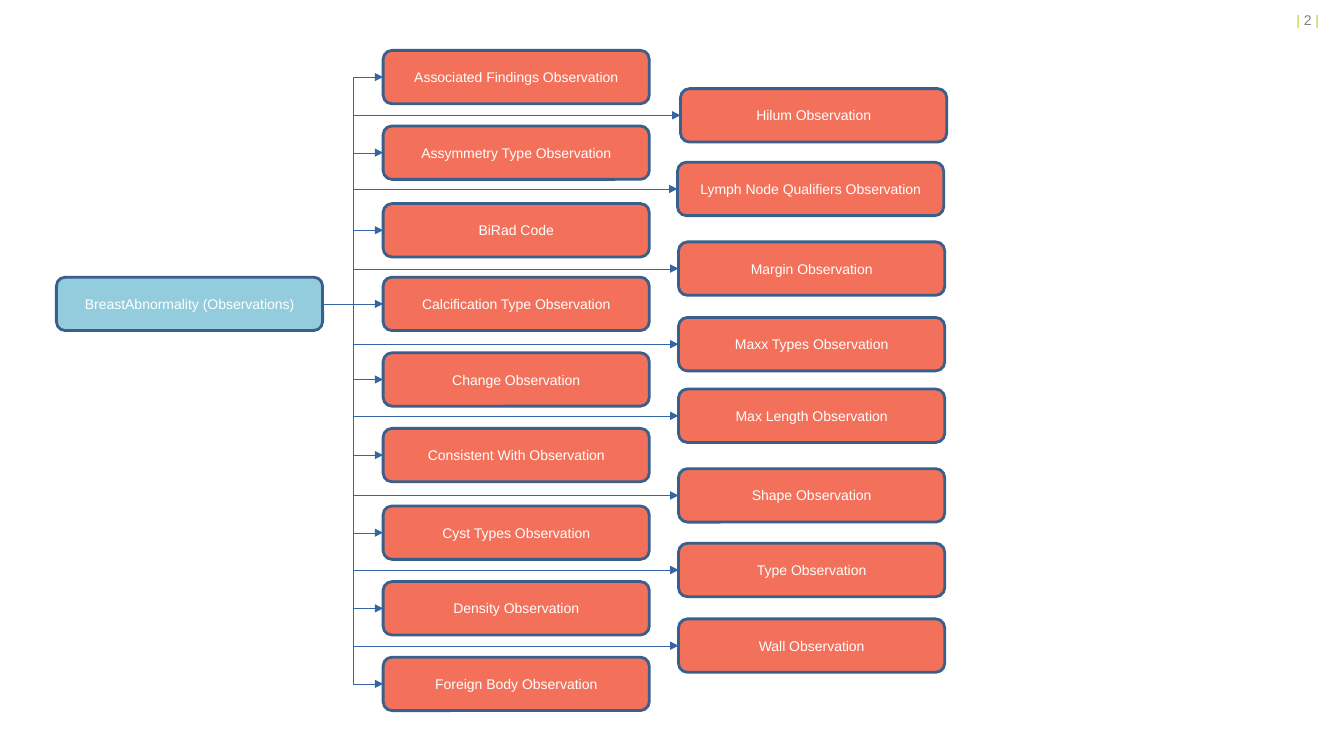
from dataclasses import dataclass

from pptx import Presentation
from pptx.dml.color import RGBColor
from pptx.enum.shapes import MSO_CONNECTOR, MSO_SHAPE
from pptx.enum.text import MSO_ANCHOR, PP_ALIGN
from pptx.oxml.ns import qn
from pptx.util import Inches, Pt
from lxml.etree import SubElement


@dataclass(frozen=True)
class Theme:
    """Colours, font and sizes used across the slide."""
    root: str = "93CDDD"
    observation: str = "F3715A"
    outline: str = "3A5F8B"
    connector: str = "3465A4"
    accent: str = "C1CD23"
    muted: str = "808080"
    white: str = "FFFFFF"
    font: str = "Arial"
    text_size: int = 10
    outline_width: int = 2


THEME = Theme()
BOX_WIDTH, BOX_HEIGHT = 2.64, 0.53
TRUNK_X = 3.5
ROOT = (0.56, 2.75, "BreastAbnormality (Observations)")
FIRST_COLUMN = [
    (3.8, 0.5, "Associated Findings Observation"),
    (3.8, 1.25, "Assymmetry Type Observation"),
    (3.8, 2.02, "BiRad Code"),
    (3.8, 2.75, "Calcification Type Observation"),
    (3.8, 3.5, "Change Observation"),
    (3.8, 4.25, "Consistent With Observation"),
    (3.8, 5.02, "Cyst Types Observation"),
    (3.8, 5.77, "Density Observation"),
    (3.8, 6.52, "Foreign Body Observation"),
]
SECOND_COLUMN = [
    (6.75, 0.88, "Hilum Observation"),
    (6.72, 1.61, "Lymph Node Qualifiers Observation"),
    (6.73, 2.4, "Margin Observation"),
    (6.73, 3.15, "Maxx Types Observation"),
    (6.73, 3.86, "Max Length Observation"),
    (6.73, 4.65, "Shape Observation"),
    (6.73, 5.39, "Type Observation"),
    (6.73, 6.14, "Wall Observation"),
]


def add_span(para, text, color=THEME.white, size=THEME.text_size):
    """Add one formatted run of text to a paragraph."""
    span = para.add_run()
    span.text = text
    span.font.name = THEME.font
    span.font.size = Pt(size)
    span.font.color.rgb = RGBColor.from_string(color)


def add_node(page, left, top, text, fill):
    """Add a labelled rounded box with its corner at left, top."""
    box = page.shapes.add_shape(
        MSO_SHAPE.ROUNDED_RECTANGLE,
        Inches(left), Inches(top), Inches(BOX_WIDTH), Inches(BOX_HEIGHT))
    box.shadow.inherit = False
    box.fill.solid()
    box.fill.fore_color.rgb = RGBColor.from_string(fill)
    box.line.color.rgb = RGBColor.from_string(THEME.outline)
    box.line.width = Pt(THEME.outline_width)
    frame = box.text_frame
    frame.word_wrap = True
    frame.vertical_anchor = MSO_ANCHOR.MIDDLE
    para = frame.paragraphs[0]
    para.alignment = PP_ALIGN.CENTER
    add_span(para, text)
    return box


def add_branch(page, root, box):
    """Join the root to a box with an elbow arrow that bends at the trunk."""
    start = root.left + root.width
    branch = page.shapes.add_connector(
        MSO_CONNECTOR.ELBOW,
        start, root.top + root.height // 2,
        box.left, box.top + box.height // 2)
    branch.begin_connect(root, 3)
    branch.end_connect(box, 1)
    branch.line.color.rgb = RGBColor.from_string(THEME.connector)
    properties = branch._element.spPr
    bend = round((Inches(TRUNK_X) - start) / (box.left - start) * 100000)
    guides = properties.find(qn("a:prstGeom")).find(qn("a:avLst"))
    SubElement(guides, qn("a:gd"), name="adj1", fmla=f"val {bend}")
    line = properties.find(qn("a:ln"))
    line.set("w", "0")
    SubElement(line, qn("a:tailEnd"), type="triangle")
    SubElement(properties, qn("a:effectLst"))


def add_page_number(page, left, top, width, height):
    """Add the page number between two accent bars."""
    box = page.shapes.add_textbox(
        Inches(left), Inches(top), Inches(width), Inches(height))
    box.text_frame.word_wrap = True
    para = box.text_frame.paragraphs[0]
    para.alignment = PP_ALIGN.RIGHT
    para.space_after = Pt(6)
    add_span(para, "| ", color=THEME.accent)
    add_span(para, "2 ", color=THEME.muted)
    add_span(para, "| ", color=THEME.accent)


def add_observation_tree(page):
    """Add the root, both columns of observations and their branches."""
    root = add_node(page, *ROOT, THEME.root)
    boxes = [add_node(page, *entry, THEME.observation)
             for entry in FIRST_COLUMN + SECOND_COLUMN]
    for box in boxes:
        add_branch(page, root, box)


def main():
    """Build the deck and save it."""
    deck = Presentation()
    deck.slide_width, deck.slide_height = Inches(13.33), Inches(7.5)
    page = deck.slides.add_slide(deck.slide_layouts[6])
    add_page_number(page, 10.88, 0.07, 2.34, 0.27)
    add_observation_tree(page)
    deck.save("out.pptx")


if __name__ == "__main__":
    main()
